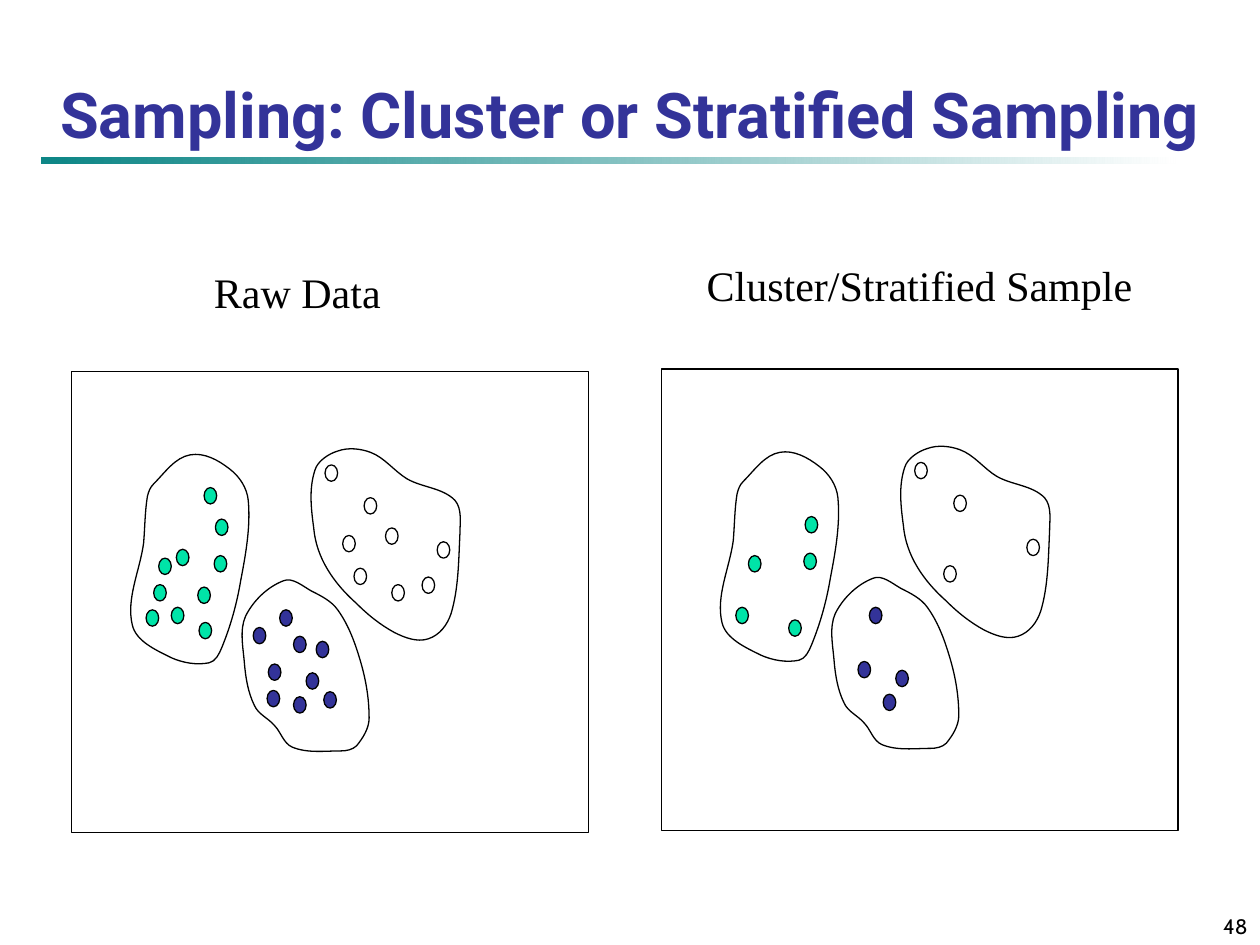
import math

from lxml import etree
from pptx import Presentation, util as u
from pptx.dml.color import RGBColor
from pptx.enum import shapes, text
from pptx.oxml.ns import qn

COLORS = {"black": "000000", "white": "FFFFFF", "indigo": "333399",
          "green": "00E4A8", "teal": "008080"}
UNIT = u.Inches(0.01)  # cluster coordinates are hundredths of an inch
DOT_SIZE = u.Inches(0.1), u.Inches(0.13)
PANEL_SIZE = u.Inches(4.1), u.Inches(3.66)

# Coordinates run from the top left corner of a panel.
CLUSTERS = [
    {"color": "white",
     "sampled": [(232, 100), (224, 156), (290, 135), (201, 74)],
     "unsampled": [(249, 124), (215, 130), (278, 163), (254, 169)],
     "outline": [(304, 102), (308, 129), (301, 192), (283, 212), (256, 207), (226, 184),
                 (203, 157), (192, 124), (193, 78), (211, 63), (237, 64), (266, 85)]},
    {"color": "indigo",
     "sampled": [(176, 258), (186, 239), (156, 232), (165, 189)],
     "unsampled": [(144, 203), (194, 214), (155, 253), (176, 210), (200, 254)],
     "outline": [(161, 281), (145, 265), (137, 231), (138, 194), (168, 166), (190, 174),
                 (211, 189), (228, 226), (236, 275), (226, 297), (214, 301), (175, 298)]},
    {"color": "green",
     "sampled": [(59, 189), (69, 148), (101, 199), (113, 146), (114, 117)],
     "unsampled": [(79, 187), (65, 169), (100, 171), (83, 141), (105, 92)],
     "outline": [(134, 166), (119, 219), (109, 231), (79, 227), (48, 201), (57, 136),
                 (60, 99), (65, 89), (94, 66), (125, 77), (140, 102)]},
]


def rgb(name):
    return RGBColor.from_string(COLORS[name])


def style_shape(shape, fill=None):
    """Give a thin black line and a plain fill, or none."""
    shape.shadow.inherit = False
    shape.line.color.rgb = rgb("black")
    shape.line.width = u.Pt(0.75)
    if fill:
        shape.fill.solid()
        shape.fill.fore_color.rgb = rgb(fill)
    else:
        shape.fill.background()


def add_text(slide, box, wording, font, size, color="black", bold=False,
             align=None, anchor=text.MSO_ANCHOR.TOP, wrap=True):
    shape = slide.shapes.add_textbox(*map(u.Inches, box))
    frame = shape.text_frame
    frame.word_wrap = wrap
    frame.vertical_anchor = anchor
    if not wrap:
        frame.auto_size = text.MSO_AUTO_SIZE.SHAPE_TO_FIT_TEXT
    paragraph = frame.paragraphs[0]
    paragraph.text = wording
    paragraph.alignment = align
    paragraph.font.name = font
    paragraph.font.size = u.Pt(size)
    paragraph.font.bold = bold
    paragraph.font.color.rgb = rgb(color)


def add_title_rule(slide, box):
    """Bar that fades from teal to white."""
    rule = slide.shapes.add_shape(shapes.MSO_SHAPE.RECTANGLE, *map(u.Inches, box))
    rule.shadow.inherit = False
    rule.line.fill.background()
    rule.fill.gradient()
    rule.fill.gradient_angle = 0
    for stop, color, position in zip(rule.fill.gradient_stops, ("teal", "white"), (0, 1)):
        stop.color.rgb = rgb(color)
        stop.position = position
    teal = next(rule.element.iter(qn("a:srgbClr")))
    etree.SubElement(teal, qn("a:alpha"), val="95000")


def smooth_curve(points):
    """Bezier points of a closed curve: two controls and an end per segment."""
    count = len(points)
    tangents = []
    for index in range(count):
        (x1, y1), (x2, y2) = points[index - 1], points[(index + 1) % count]
        length = math.hypot(x2 - x1, y2 - y1)
        tangents.append(((x2 - x1) / length, (y2 - y1) / length))
    curve = []
    for index, start in enumerate(points):
        following = (index + 1) % count
        end = points[following]
        reach = math.dist(start, end) / 3
        for (x, y), (dx, dy), step in ((start, tangents[index], reach),
                                       (end, tangents[following], -reach)):
            curve.append((x + dx * step, y + dy * step))
        curve.append(end)
    return curve


def add_outline(group, left, top, points):
    """Closed curve: the straight segments are regrouped into Bezier curves."""
    builder = group.shapes.build_freeform(*points[0], scale=UNIT)
    builder.add_line_segments(smooth_curve(points), close=True)
    outline = builder.convert_to_shape(left, top)
    style_shape(outline)
    segments = list(outline.element.iter(qn("a:lnTo")))
    for triple in zip(segments[::3], segments[1::3], segments[2::3]):
        curve = etree.Element(qn("a:cubicBezTo"))
        triple[0].addprevious(curve)
        for segment in triple:
            curve.append(segment[0])
            segment.getparent().remove(segment)


def add_panel(slide, left, top, sampled_only):
    """Frame with three clusters of dots."""
    left, top = u.Inches(left), u.Inches(top)
    group = slide.shapes.add_group_shape()
    frame = group.shapes.add_shape(shapes.MSO_SHAPE.RECTANGLE, left, top, *PANEL_SIZE)
    style_shape(frame)
    for cluster in CLUSTERS:
        dots = cluster["sampled"] + ([] if sampled_only else cluster["unsampled"])
        for x, y in dots:
            dot = group.shapes.add_shape(shapes.MSO_SHAPE.FLOWCHART_CONNECTOR,
                                         left + x * UNIT, top + y * UNIT, *DOT_SIZE)
            style_shape(dot, cluster["color"])
        add_outline(group, left, top, cluster["outline"])


def main():
    presentation = Presentation()
    presentation.slide_width, presentation.slide_height = u.Inches(10), u.Inches(7.5)
    slide = presentation.slides.add_slide(presentation.slide_layouts[6])
    add_title_rule(slide, (0.33, 1.25, 9, 0.05))
    add_text(slide, (7.92, 7.08, 2.08, 0.42), "48", "Cabin", 12,
             align=text.PP_ALIGN.RIGHT, anchor=text.MSO_ANCHOR.BOTTOM)
    add_text(slide, (0.25, 0.33, 9.5, 0.92), "Sampling: Cluster or Stratified Sampling",
             "Roboto", 36, "indigo", bold=True,
             align=text.PP_ALIGN.CENTER, anchor=text.MSO_ANCHOR.BOTTOM)
    add_panel(slide, 0.57, 2.95, sampled_only=False)
    add_panel(slide, 5.25, 2.93, sampled_only=True)
    for box, label in (((1.6, 2.07, 1.6, 0.5), "Raw Data"),
                       ((5.51, 2.01, 3.58, 0.5), "Cluster/Stratified Sample")):
        add_text(slide, box, label, "Times New Roman", 24, wrap=False)
    presentation.save("out.pptx")


if __name__ == "__main__":
    main()
